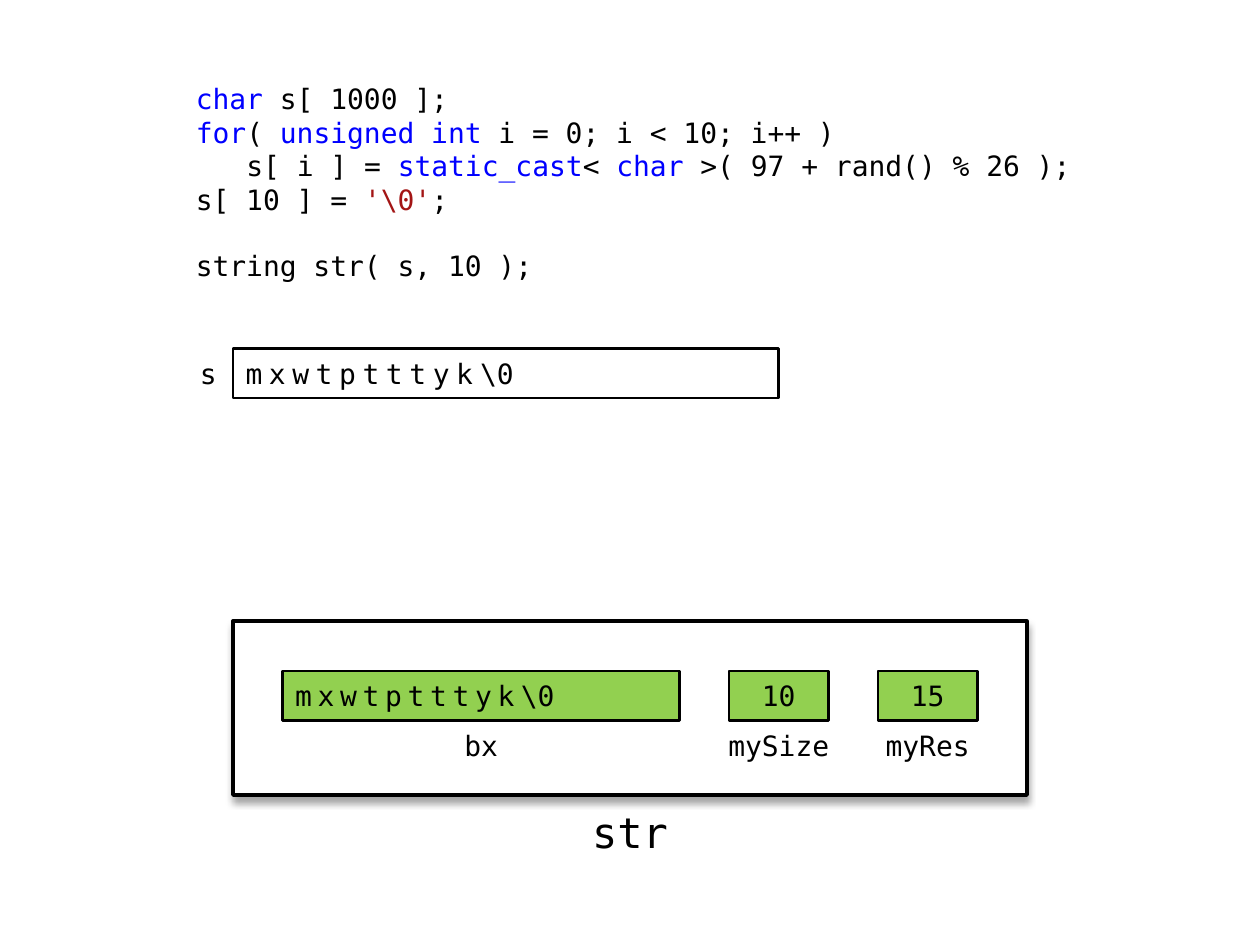
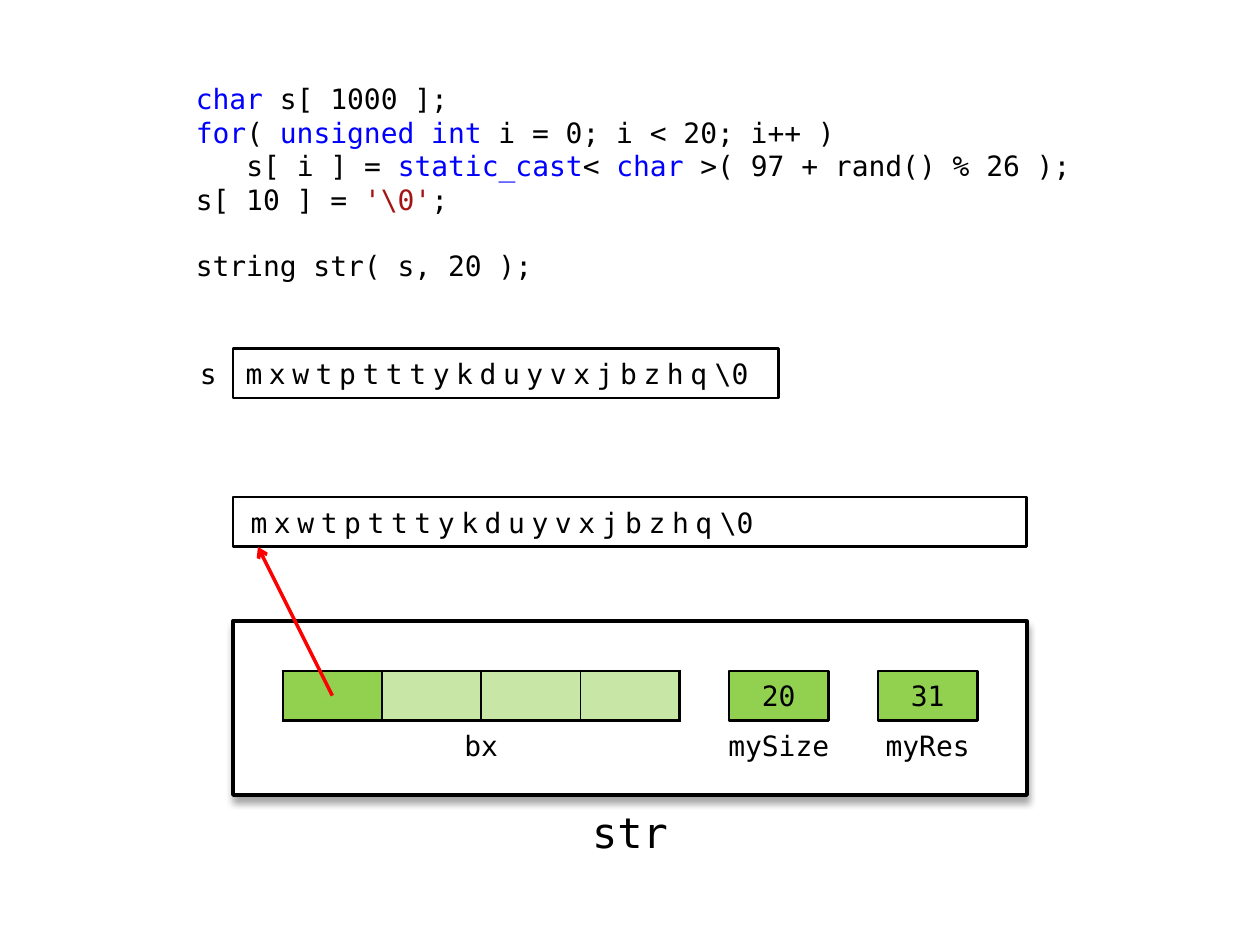
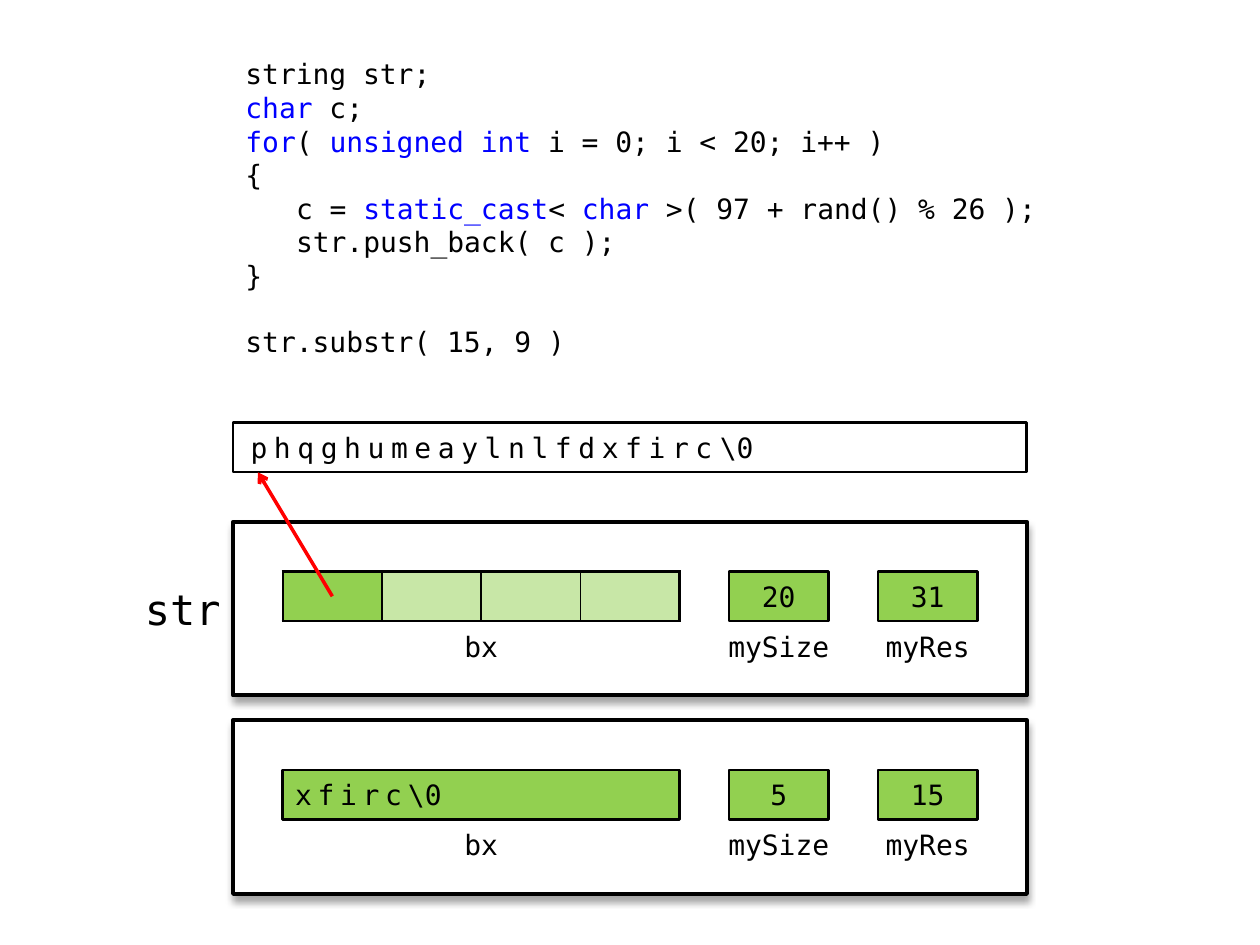
from dataclasses import dataclass
from typing import NamedTuple

from lxml.etree import SubElement as Sub
from pptx import Presentation
from pptx.dml.color import RGBColor as Rgb
from pptx.enum.shapes import MSO_CONNECTOR as Link, MSO_SHAPE as Kind
from pptx.enum.text import MSO_ANCHOR as Anchor, PP_ALIGN as Align
from pptx.oxml.ns import qn
from pptx.util import Pt


@dataclass(frozen=True)
class Theme:
    font: str = "DejaVu Sans Mono"
    size: float = 16
    large: float = 24
    black: Rgb = Rgb(0, 0, 0)
    white: Rgb = Rgb(255, 255, 255)
    green: Rgb = Rgb(0x92, 0xD0, 0x50)
    blue: Rgb = Rgb(0, 0, 255)
    brown: Rgb = Rgb(0xA3, 0x15, 0x15)
    red: Rgb = Rgb(255, 0, 0)
    thin: float = 1
    edge: float = 1.5
    arrow: float = 2
    frame: float = 2.25


class Rect(NamedTuple):
    x: float
    y: float
    w: float
    h: float

    def lengths(self) -> list:
        return [Pt(v) for v in self]


class Run(NamedTuple):
    text: str
    color: Rgb = Theme.black
    gap: float = 0
    size: float = Theme.size


class Line(NamedTuple):
    """A line of code; keywords and literals stand between bars."""
    text: str
    deep: bool = False
    apart: bool = False


@dataclass(frozen=True)
class Panel:
    """A string object; an empty word means a pointer to a heap buffer."""
    top: float
    size: str
    room: str
    word: str = ""


T = Theme()
UNIT = 28.35            # one grid step
LEFT = 133.2            # left edge of all panels and buffers
WIDE = 16 * UNIT
INDENT = 28.9           # three code characters
SKIP = 18.6             # one empty code line
TIGHT, LOOSE = 3.3, 3.8


def grid(col: float, top: float, cols: float, rows: float = 1) -> Rect:
    return Rect(LEFT + col * UNIT, top, cols * UNIT, rows * UNIT)


def assign(obj, form: dict) -> None:
    for name, value in form.items():
        setattr(obj, name, value)


# Text

def add_runs(para, runs: list[Run]) -> None:
    for part in runs:
        run = para.add_run()
        run.text = part.text
        assign(run.font, {"name": T.font, "size": Pt(part.size)})
        run.font.color.rgb = part.color
        if part.gap:
            run.font._element.set("spc", str(round(part.gap * 100)))


def set_text(shape, runs: list[Run], align=Align.CENTER, inset: float = 7.2) -> None:
    frame = shape.text_frame
    assign(frame, {"word_wrap": True, "vertical_anchor": Anchor.MIDDLE,
                   "margin_left": Pt(inset)})
    para = frame.paragraphs[0]
    para.alignment = align
    add_runs(para, runs)


def chars(word: str, gap: float) -> list[Run]:
    slash, zero = r"\0"
    return [Run(word, gap=gap), Run(slash, gap=-1.5), Run(zero)]


def paint(text: str) -> list[Run]:
    runs = []
    for i, part in enumerate(text.split("|")):
        mark = T.brown if part.startswith("'") else T.blue
        if part:
            runs.append(Run(part, mark if i % 2 else T.black))
    return runs


def add_code(slide, area: Rect, lines: list[Line]) -> None:
    frame = slide.shapes.add_textbox(*area.lengths()).text_frame
    frame.word_wrap = True
    for i, line in enumerate(lines):
        para = frame.add_paragraph() if i else frame.paragraphs[0]
        if line.deep:
            para._p.get_or_add_pPr().set("marL", str(Pt(INDENT)))
        if line.apart:
            para.space_before = Pt(SKIP)
        add_runs(para, paint(line.text))


def add_name(slide, area: Rect, align=Align.CENTER) -> None:
    box = slide.shapes.add_textbox(*area.lengths())
    set_text(box, [Run("str", size=T.large)], align)


# Shapes

def add_box(slide, area: Rect, fill: Rgb | None, edge: float = T.edge,
            kind=Kind.RECTANGLE):
    box = slide.shapes.add_shape(kind, *area.lengths())
    box.shadow.inherit = False
    if fill is None:
        box.fill.background()
        box.line.fill.background()
    else:
        box.fill.solid()
        box.fill.fore_color.rgb = fill
        box.line.color.rgb = T.black
        box.line.width = Pt(edge)
    return box


def add_label(slide, area: Rect, text: str) -> None:
    set_text(add_box(slide, area, None, kind=Kind.FLOWCHART_PROCESS), [Run(text)])


def add_shade(box) -> None:
    effects = box._element.spPr.find(qn("a:effectLst"))
    shade = Sub(effects, qn("a:outerShdw"), blurRad=str(Pt(4)), dist=str(Pt(3)),
                dir="5400000", rotWithShape="0")
    color = Sub(shade, qn("a:srgbClr"), val=str(T.black))
    Sub(color, qn("a:alpha"), val="35000")


def add_cells(slide, area: Rect, count: int = 4) -> None:
    table = slide.shapes.add_table(1, count, *area.lengths()).table
    assign(table, {"first_row": False, "horz_banding": False})
    for i, cell in enumerate(table.rows[0].cells):
        table.columns[i].width = Pt(area.w / count)
        assign(cell, dict.fromkeys(("margin_top", "margin_bottom"), 0))
        cell.fill.solid()
        cell.fill.fore_color.rgb = T.green
        props = cell._tc.get_or_add_tcPr()
        if i:
            Sub(props.find(".//" + qn("a:srgbClr")), qn("a:alpha"), val="50000")
        sides = {"L": T.thin if i else T.edge,
                 "R": T.thin if i < count - 1 else T.edge,
                 "T": T.edge, "B": T.edge}
        for spot, (side, width) in enumerate(sides.items()):
            line = Sub(props, qn(f"a:ln{side}"), w=str(Pt(width)))
            Sub(Sub(line, qn("a:solidFill")), qn("a:srgbClr"), val=str(T.black))
            props.insert(spot, line)


def add_arrow(slide, start: tuple[float, float], end: tuple[float, float]) -> None:
    ends = [Pt(v) for v in start + end]
    arrow = slide.shapes.add_connector(Link.STRAIGHT, *ends)
    arrow.line.color.rgb = T.red
    arrow.line.width = Pt(T.arrow)
    Sub(arrow.line._get_or_add_ln(), qn("a:tailEnd"), type="arrow")
    Sub(arrow._element.spPr, qn("a:effectLst"))


# Diagram parts

def add_panel(slide, panel: Panel) -> None:
    area = grid(0, panel.top, 16, 3.5)
    add_shade(add_box(slide, area, T.white, T.frame, Kind.FLOWCHART_PROCESS))
    row, below = panel.top + UNIT, panel.top + 2 * UNIT
    for col, text in ((10, panel.size), (13, panel.room)):
        set_text(add_box(slide, grid(col, row, 2), T.green), [Run(text)])
    for col, cols, text in ((4, 2, "bx"), (9.5, 3, "mySize"), (12.5, 3, "myRes")):
        add_label(slide, grid(col, below, cols), text)
    store = grid(1, row, 8)
    if panel.word:
        set_text(add_box(slide, store, T.green), chars(panel.word, TIGHT), Align.LEFT)
    else:
        add_cells(slide, store)


def add_array(slide, top: float, word: str) -> None:
    box = add_box(slide, grid(0, top, 11), T.white)
    set_text(box, chars(word, LOOSE), Align.LEFT)
    add_label(slide, grid(-1, top, 1), "s")


def add_heap(slide, top: float, panel: Panel, word: str) -> None:
    box = add_box(slide, grid(0, top, 16), T.white)
    set_text(box, chars(word, LOOSE), Align.LEFT, 10)
    add_arrow(slide, (LEFT + 2 * UNIT, panel.top + 1.5 * UNIT),
              (LEFT + UNIT / 2, top + UNIT))


# Slides

FOR = "|for|( |unsigned int| i = 0; i < {}; i++ )"
CAST = " = |static_cast|< |char| >( 97 + rand() % 26 );"


def build_copy(slide, count: int, word: str, panel: Panel) -> None:
    add_code(slide, grid(-1, 43, 18.5, 4.5), [
        Line("|char| s[ 1000 ];"),
        Line(FOR.format(count)),
        Line("s[ i ]" + CAST, deep=True),
        Line(r"s[ 10 ] = |'\0'|;"),
        Line(f"string str( s, {count} );", apart=True),
    ])
    add_name(slide, grid(6.5, panel.top + 3.5 * UNIT, 3, 1.5))
    add_panel(slide, panel)
    add_array(slide, panel.top - 5.5 * UNIT, word)
    if not panel.word:
        add_heap(slide, panel.top - 2.5 * UNIT, panel, word)


def build_substr(slide) -> None:
    add_code(slide, grid(0, 29, 16.5, 6.5), [
        Line("string str;"),
        Line("|char| c;"),
        Line(FOR.format(20)),
        Line("{"),
        Line("c" + CAST, deep=True),
        Line("str.push_back( c );", deep=True),
        Line("}"),
        Line("str.substr( 15, 9 )", apart=True),
    ])
    whole = Panel(298.2, "20", "31")
    add_name(slide, grid(-2.5, whole.top + UNIT, 2.5, 1.5), Align.RIGHT)
    add_panel(slide, whole)
    add_heap(slide, whole.top - 2 * UNIT, whole, "phqghumeaylnlfdxfirc")
    add_panel(slide, Panel(whole.top + 4 * UNIT, "5", "15", "xfirc"))


def main() -> None:
    deck = Presentation()
    assign(deck, {"slide_width": Pt(720), "slide_height": Pt(540)})
    first, second, third = (deck.slides.add_slide(deck.slide_layouts[6])
                            for _ in range(3))
    short = "mxwtptttyk"
    build_copy(first, 10, short, Panel(355, "10", "15", short))
    build_copy(second, 20, short + "duyvxjbzhq", Panel(355, "20", "31"))
    build_substr(third)
    deck.save("out.pptx")


if __name__ == "__main__":
    main()
